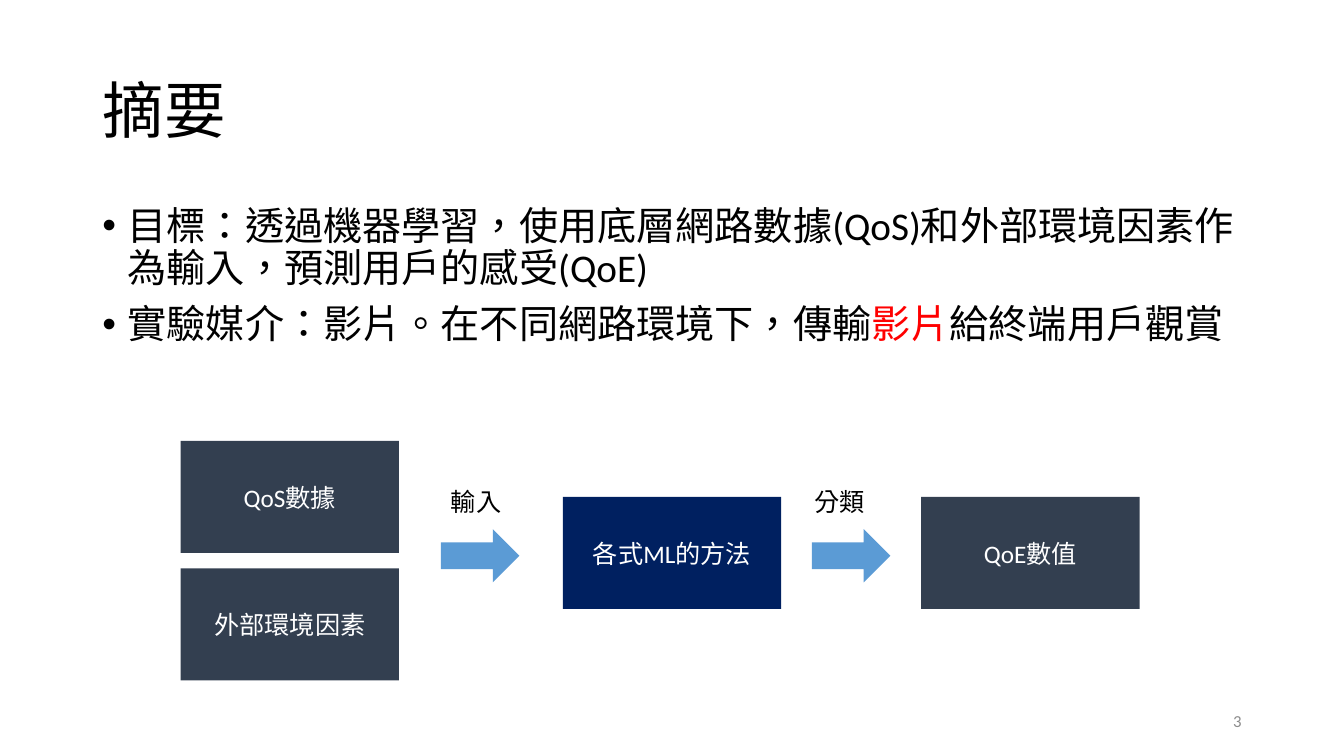
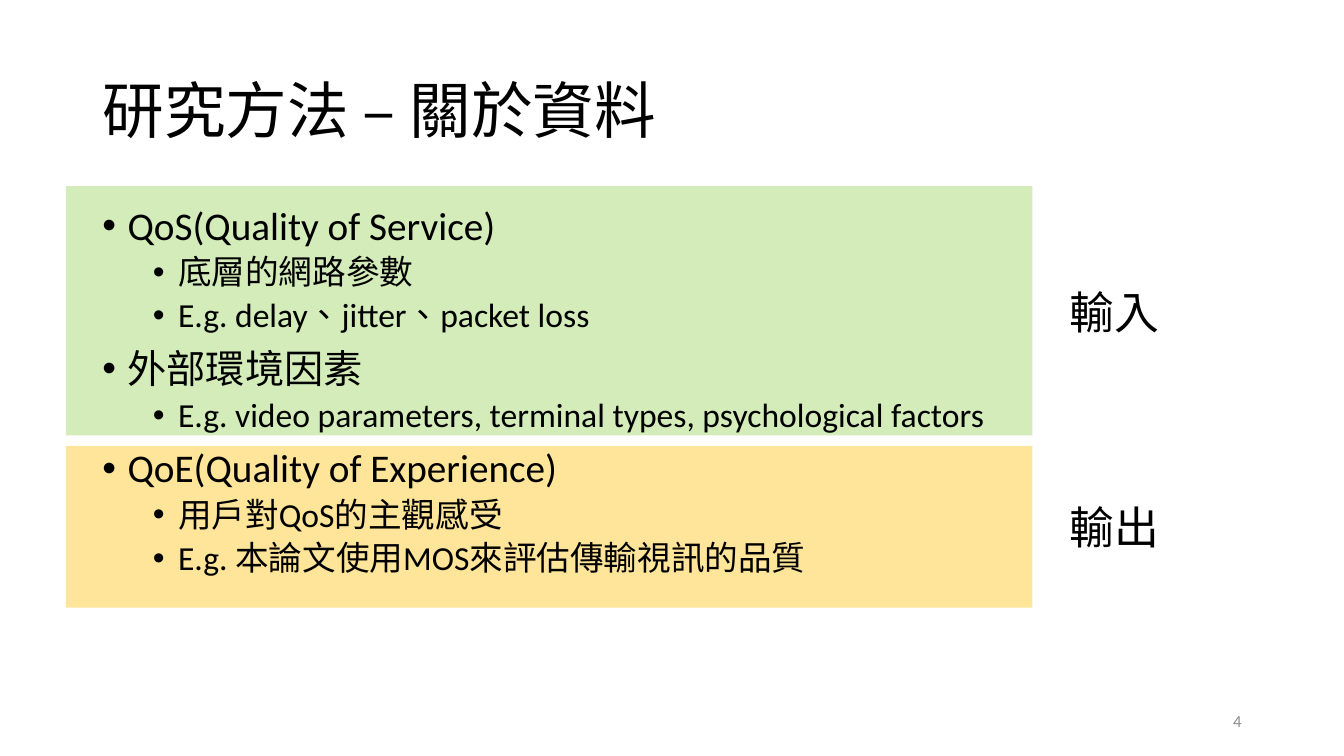
from lxml import etree
from pptx import Presentation
from pptx.dml.color import RGBColor
from pptx.enum.shapes import MSO_SHAPE
from pptx.enum.text import MSO_ANCHOR, MSO_AUTO_SIZE, PP_ALIGN
from pptx.oxml.ns import qn
from pptx.util import Pt

RECT, ARROW = MSO_SHAPE.RECTANGLE, MSO_SHAPE.RIGHT_ARROW
TOP, MIDDLE = MSO_ANCHOR.TOP, MSO_ANCHOR.MIDDLE
LEFT, CENTER, RIGHT = PP_ALIGN.LEFT, PP_ALIGN.CENTER, PP_ALIGN.RIGHT

THEME = {
    "font": "Calibri", "language": "zh-TW",
    "text": "000000", "light": "FFFFFF", "accent": "FF0000", "muted": "8C8C8C",
    "data": "333F50", "method": "002060", "arrow": "5B9BD5",
    "input": "92D050", "output": "FFC000", "panel_alpha": 40,
    "title_size": 44, "bullet_sizes": (28, 24), "side_size": 32,
    "label_size": 18, "number_size": 12,
}
TITLE_BOX = (66, 28.75, 828, 104.4)
BODY_BOX = (66, 143.75, 828, 342.6)
NUMBER_BOX = (678, 500.5, 216, 28.75)
BULLET_LEVELS = ({"margin": 18, "before": 10}, {"margin": 54, "before": 5})

# Each bullet: level, then (text, colour) runs
PAGES = [
    {"number": "3", "title": "摘要", "bullets": [
        (0, [("目標：透過機器學習，使用底層網路數據(QoS)和外部環境因素作為輸入，預測用戶的感受(QoE)", "text")]),
        (0, [("實驗媒介：影片。在不同網路環境下，傳輸", "text"),
             ("影片", "accent"), ("給終端用戶觀賞", "text")]),
    ]},
    {"number": "4", "title": "研究方法 – 關於資料", "bullets": [
        (0, [("QoS(Quality of Service)", "text")]),
        (1, [("底層的網路參數", "text")]),
        (1, [("E.g. delay、jitter、packet loss", "text")]),
        (0, [("外部環境因素", "text")]),
        (1, [("E.g. video parameters, terminal types, psychological factors", "text")]),
        (0, [("QoE(Quality of Experience)", "text")]),
        (1, [("用戶對QoS的主觀感受", "text")]),
        (1, [("E.g. 本論文使用MOS來評估傳輸視訊的品質", "text")]),
    ]},
]


def write(shape, runs, size, align=LEFT, anchor=TOP, wrap=True, paragraph=None):
    """Put (text, colour) runs into one paragraph of the shape."""
    frame = shape.text_frame
    frame_format = {"auto_size": MSO_AUTO_SIZE.NONE, "word_wrap": wrap,
                    "vertical_anchor": anchor}
    for name, value in frame_format.items():
        setattr(frame, name, value)
    paragraph = paragraph or frame.paragraphs[0]
    paragraph.alignment = align
    for text, colour in runs:
        run = paragraph.add_run()
        run.text = text
        for name, value in {"name": THEME["font"], "size": Pt(size)}.items():
            setattr(run.font, name, value)
        run.font.color.rgb = RGBColor.from_string(THEME[colour])
        run.font._element.set("lang", THEME["language"])
    return paragraph


def block(slide, kind, box, colour):
    """Add a flat shape without line or shadow."""
    shape = slide.shapes.add_shape(kind, *map(Pt, box))
    shape.shadow.inherit = False
    shape.fill.solid()
    shape.fill.fore_color.rgb = RGBColor.from_string(THEME[colour])
    shape.line.fill.background()
    return shape


prs = Presentation()
prs.slide_width, prs.slide_height = Pt(960), Pt(540)

# Shared frame: title, bullets and slide number
slides = []
for page in PAGES:
    slide = prs.slides.add_slide(prs.slide_layouts[1])
    title, body = slide.shapes.title, slide.placeholders[1]
    for holder, box in ((title, TITLE_BOX), (body, BODY_BOX)):
        for name, value in zip(("left", "top", "width", "height"), box):
            setattr(holder, name, Pt(value))
    heading = write(title, [(page["title"], "text")], THEME["title_size"], anchor=MIDDLE)
    heading.line_spacing = 0.9

    for index, (level, runs) in enumerate(page["bullets"]):
        frame = body.text_frame
        bullet = frame.add_paragraph() if index else frame.paragraphs[0]
        write(body, runs, THEME["bullet_sizes"][level], paragraph=bullet)
        spacing = {"level": level, "line_spacing": 0.9, "space_after": Pt(0),
                   "space_before": Pt(BULLET_LEVELS[level]["before"])}
        for name, value in spacing.items():
            setattr(bullet, name, value)
        properties = bullet._p.get_or_add_pPr()
        properties.set("marL", str(Pt(BULLET_LEVELS[level]["margin"])))
        properties.set("indent", str(Pt(-18)))
        etree.SubElement(properties, qn("a:buFont")).set("typeface", "Arial")
        etree.SubElement(properties, qn("a:buChar")).set("char", "•")

    number = slide.shapes.add_textbox(*map(Pt, NUMBER_BOX))
    write(number, [(page["number"], "muted")], THEME["number_size"], RIGHT, MIDDLE)
    slides.append(slide)

summary, method = slides

# Summary: data flow from inputs through the method to QoE
STEPS = [
    ("QoS數據", 129, 315, "data"),
    ("外部環境因素", 129, 406, "data"),
    ("各式ML的方法", 402, 355, "method"),
    ("QoE數值", 658, 355, "data"),
]
for text, left, top, colour in STEPS:
    step = block(summary, RECT, (left, top, 156, 80), colour)
    write(step, [(text, "light")], THEME["label_size"], CENTER, MIDDLE)

for text, label_left, arrow_left in (("輸入", 315, 315), ("分類", 574.5, 580)):
    block(summary, ARROW, (arrow_left, 378, 56, 38), "arrow")
    label = summary.shapes.add_textbox(Pt(label_left), Pt(343.5), Pt(51), Pt(29))
    write(label, [(text, "text")], THEME["label_size"], wrap=False)

# Method: tinted panels behind the bullets, each with its role beside it
PANELS = [
    ("輸入", 133, 178, 199.5, "input"),
    ("輸出", 318.5, 115.5, 353.5, "output"),
]
for text, top, height, label_top, colour in PANELS:
    panel = block(method, RECT, (47, top, 690.5, height), colour)
    tint = panel.fill._xPr.find(qn("a:solidFill"))[0]
    etree.SubElement(tint, qn("a:alpha")).set("val", str(THEME["panel_alpha"] * 1000))
    method.shapes.title.element.addprevious(panel.element)
    role = method.shapes.add_textbox(Pt(757), Pt(label_top), Pt(79), Pt(46))
    write(role, [(text, "text")], THEME["side_size"], wrap=False)

prs.save("out.pptx")
